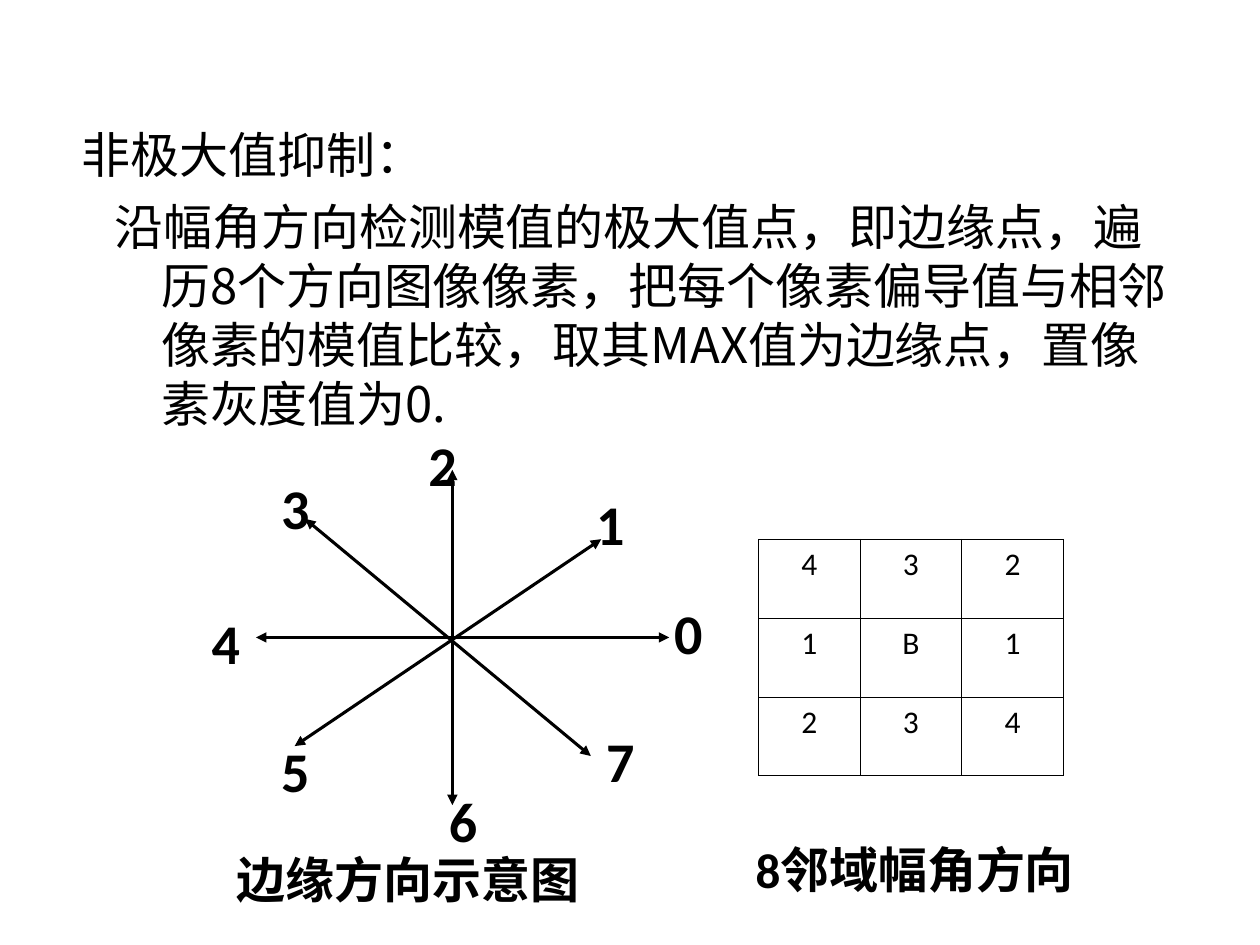
from dataclasses import dataclass

import pptx
import pptx.dml.color
import pptx.enum.shapes
import pptx.enum.text
import pptx.oxml
import pptx.oxml.ns
import pptx.util
from pptx.util import Cm, Pt

BLACK = pptx.dml.color.RGBColor(0, 0, 0)
LATIN_FONT = "Calibri"
CHINESE_FONT = "Noto Sans CJK SC"
ALIGN = pptx.enum.text.PP_ALIGN
NAMESPACE = pptx.oxml.ns.nsdecls("a")


@dataclass(frozen=True)
class Axis:
    """A double-headed arrow between two points, in centimetres."""
    x1: float
    y1: float
    x2: float
    y2: float


@dataclass(frozen=True)
class Label:
    """Bold centred text in an unfilled box, in centimetres."""
    text: str
    left: float
    top: float
    width: float = 1.19
    height: float = 0.99
    size: int = 32


AXES = [
    Axis(5.16, 12.85, 13.49, 12.85),
    Axis(9.12, 9.47, 9.12, 16.23),
    Axis(6.15, 10.46, 11.91, 15.24),
    Axis(5.94, 15.04, 12.12, 10.87),
]
LABELS = [
    Label("0", 13.28, 12.24),
    Label("1", 11.71, 10.06),
    Label("2", 8.33, 8.86),
    Label("3", 5.36, 9.72),
    Label("4", 3.96, 12.45),
    Label("5", 5.36, 15.04),
    Label("6", 8.74, 16.03),
    Label("7", 11.91, 14.83),
    Label("边缘方向示意图", 3.38, 17.22, width=9.7, size=28),
    Label("8邻域幅角方向", 14.48, 17.02, width=7.92, size=28),
]
NEIGHBOURHOOD = ["432", "1B1", "234"]
BODY = "沿幅角方向检测模值的极大值点，即边缘点，遍历8个方向图像像素，把每个像素偏导值与相邻像素的模值比较，取其MAX值为边缘点，置像素灰度值为0."


def write(paragraph, text: str, *, size: float, font: str = LATIN_FONT,
          bold: bool = False, align=ALIGN.CENTER) -> None:
    paragraph.alignment = align
    run = paragraph.add_run()
    run.text = text
    run.font.size = Pt(size)
    run.font.bold = bold
    run.font.name = font
    run.font.color.rgb = BLACK
    run.font._element.find(pptx.oxml.ns.qn("a:latin")).addnext(
        pptx.oxml.parse_xml(f'<a:ea {NAMESPACE} typeface="{CHINESE_FONT}"/>'))


def hang(paragraph, left: float, first_line: float) -> None:
    properties = paragraph._p.get_or_add_pPr()
    properties.set("marL", str(Cm(left)))
    properties.set("indent", str(Cm(first_line)))


def add_body(slide) -> None:
    box = slide.shapes.add_textbox(Cm(1.4), Cm(2.39), Cm(22.63), Cm(14.88))
    frame = box.text_frame
    frame.word_wrap = True
    heading, explanation = frame.paragraphs[0], frame.add_paragraph()
    for paragraph, text, first_line in ((heading, "非极大值抑制：", -1.6),
                                        (explanation, BODY, -0.94)):
        hang(paragraph, 1.6, first_line)
        paragraph.line_spacing = Pt(33.7)
        write(paragraph, text, size=28, font=CHINESE_FONT, align=ALIGN.LEFT)
    explanation.space_before = Pt(7)


def add_axis(slide, axis: Axis) -> None:
    connector = slide.shapes.add_connector(
        pptx.enum.shapes.MSO_CONNECTOR.STRAIGHT,
        Cm(axis.x1), Cm(axis.y1), Cm(axis.x2), Cm(axis.y2))
    connector.line.color.rgb = BLACK
    connector.line.width = Pt(1.75)
    line = connector.line._get_or_add_ln()
    for end in ("headEnd", "tailEnd"):
        line.append(pptx.oxml.parse_xml(f'<a:{end} {NAMESPACE} type="triangle"/>'))
    connector._element.spPr.append(pptx.oxml.parse_xml(f"<a:effectLst {NAMESPACE}/>"))


def add_label(slide, label: Label) -> None:
    shape = slide.shapes.add_shape(
        pptx.enum.shapes.MSO_SHAPE.ROUNDED_RECTANGLE,
        Cm(label.left), Cm(label.top), Cm(label.width), Cm(label.height))
    shape.shadow.inherit = False
    shape.fill.background()
    shape.line.fill.background()
    frame = shape.text_frame
    frame.word_wrap = False
    frame.vertical_anchor = pptx.enum.text.MSO_ANCHOR.MIDDLE
    write(frame.paragraphs[0], label.text, size=label.size, bold=True)


def outline_cell(cell) -> None:
    properties = cell._tc.get_or_add_tcPr()
    for position, side in enumerate(("lnL", "lnR", "lnT", "lnB")):
        properties.insert(position, pptx.oxml.parse_xml(
            f'<a:{side} {NAMESPACE} w="{Pt(0.45)}"><a:solidFill>'
            f'<a:srgbClr val="{BLACK}"/></a:solidFill></a:{side}>'))


def add_neighbourhood(slide) -> None:
    table = slide.shapes.add_table(
        3, 3, Cm(15.29), Cm(10.87), Cm(6.15), Cm(4.77)).table
    table.first_row = table.horz_banding = False
    for column in table.columns:
        column.width = Cm(2.05)
    for row, values in zip(table.rows, NEIGHBOURHOOD):
        row.height = Cm(1.59)
        for cell, value in zip(row.cells, values):
            cell.fill.background()
            outline_cell(cell)
            write(cell.text_frame.paragraphs[0], value, size=18)


def main() -> None:
    presentation = pptx.Presentation()
    presentation.slide_width, presentation.slide_height = Cm(25.4), Cm(19.05)
    slide = presentation.slides.add_slide(presentation.slide_layouts[6])
    add_body(slide)
    for axis in AXES:
        add_axis(slide, axis)
    for label in LABELS:
        add_label(slide, label)
    add_neighbourhood(slide)
    presentation.save("out.pptx")


if __name__ == "__main__":
    main()
